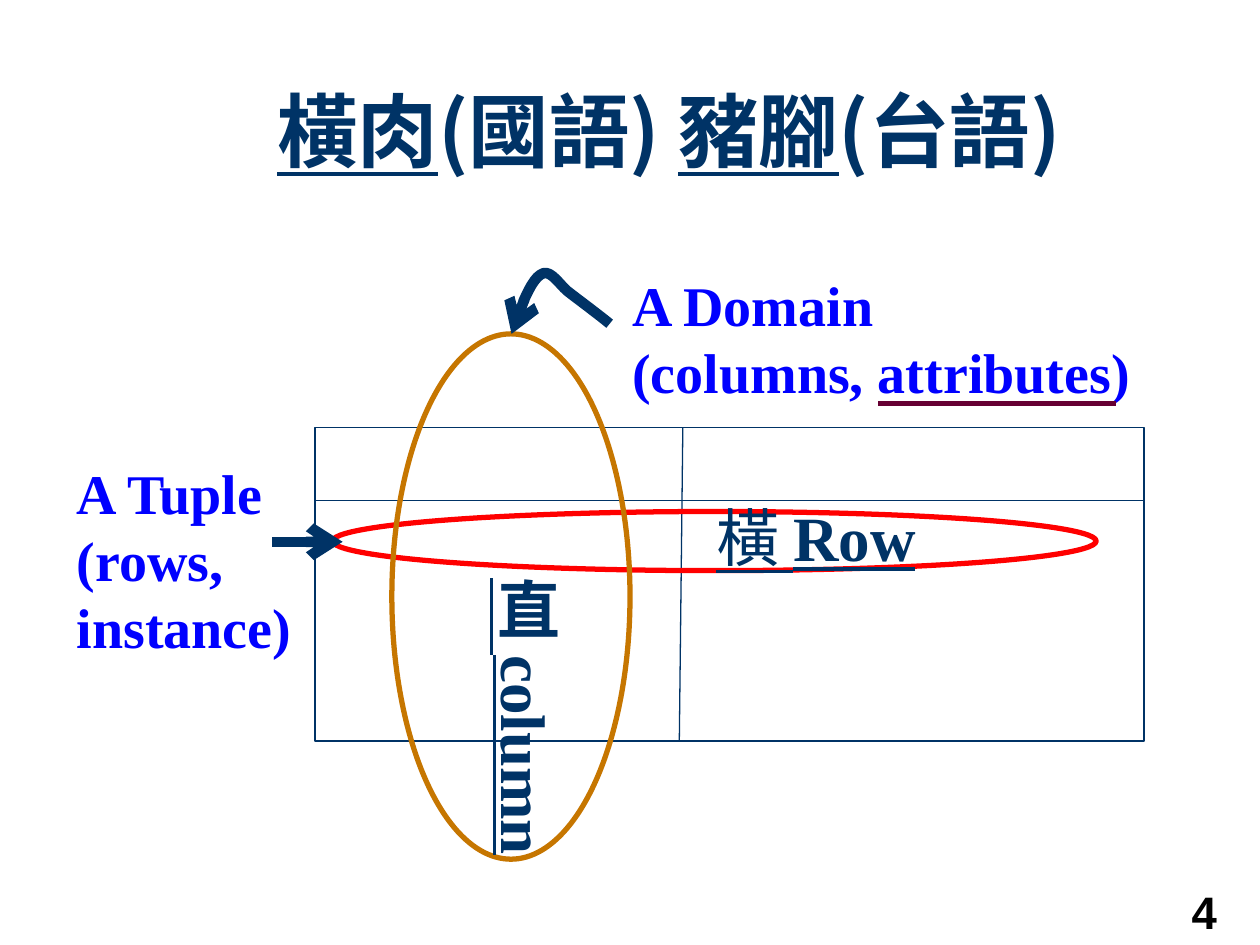
from dataclasses import dataclass

import pptx
import pptx.dml.color
import pptx.enum.shapes
import pptx.enum.text
import pptx.oxml.ns
import pptx.util
from lxml import etree

Pt = pptx.util.Pt
ALIGN = pptx.enum.text.PP_ALIGN
ANCHOR = pptx.enum.text.MSO_ANCHOR
SHAPE = pptx.enum.shapes.MSO_SHAPE
qn = pptx.oxml.ns.qn


@dataclass(frozen=True)
class Theme:
    """Colours, fonts, type sizes and line widths of the slide."""
    navy: str = "003366"
    blue: str = "0000FF"
    red: str = "FF0000"
    ochre: str = "C67600"
    plum: str = "660033"
    black: str = "000000"
    serif: str = "Times New Roman"
    sans: str = "Arial"
    cjk: str = "Noto Sans CJK SC"
    title: int = 46
    axis: int = 36
    label: int = 32
    number: int = 26
    thin: float = 0.75
    ring: float = 3
    arrow: float = 6


THEME = Theme()


def color(code):
    """Return the colour for a hex code."""
    return pptx.dml.color.RGBColor.from_string(code)


def add_text(slide, box, paragraphs, *, size, font=THEME.serif, ink=THEME.navy,
             align=ALIGN.LEFT, anchor=ANCHOR.TOP, inset=(7.2, 3.6),
             spacing=None, wrap=False, vertical=None):
    """Place paragraphs, each a list of (words, bold, underline) runs."""
    frame = slide.shapes.add_textbox(*map(Pt, box)).text_frame
    frame.word_wrap = wrap
    frame.vertical_anchor = anchor
    frame.margin_left = frame.margin_right = Pt(inset[0])
    frame.margin_top = frame.margin_bottom = Pt(inset[1])
    if vertical:
        frame._txBody.bodyPr.set("vert", vertical)
    for index, runs in enumerate(paragraphs):
        paragraph = frame.add_paragraph() if index else frame.paragraphs[0]
        paragraph.alignment = align
        if spacing:
            paragraph.line_spacing = spacing
        for words, bold, underline in runs:
            run = paragraph.add_run()
            run.text = words
            run.font.size, run.font.name = Pt(size), font
            run.font.bold, run.font.underline = bold, underline
            run.font.color.rgb = color(ink)
            east = etree.SubElement(run._r.get_or_add_rPr(), qn("a:ea"))
            east.set("typeface", THEME.cjk)


def style_line(shape, ink, width, arrow=False):
    """Set the line of a shape or connector, with an optional arrowhead."""
    shape.line.color.rgb = color(ink)
    shape.line.width = Pt(width)
    if arrow:
        tail = etree.SubElement(shape.line._get_or_add_ln(), qn("a:tailEnd"))
        tail.set("type", "arrow")


def add_line(slide, start, end, ink=THEME.navy, width=THEME.thin, arrow=False):
    """Draw a straight line between two points."""
    line = slide.shapes.add_connector(
        pptx.enum.shapes.MSO_CONNECTOR.STRAIGHT, *map(Pt, (*start, *end)))
    style_line(line, ink, width, arrow)
    etree.SubElement(line._element.spPr, qn("a:effectLst"))


def add_outline(slide, kind, box, ink, width):
    """Draw an unfilled preset shape."""
    outline = slide.shapes.add_shape(kind, *map(Pt, box))
    outline.shadow.inherit = False
    outline.fill.background()
    style_line(outline, ink, width)


def add_curve(slide, start, bends, steps=10):
    """Draw a navy arrow along cubic bends, each two controls and an end."""
    points = []
    origin = start
    for bend in bends:
        corners = (origin, *bend)
        for step in range(1, steps + 1):
            t = step / steps
            weights = ((1 - t) ** 3, 3 * t * (1 - t) ** 2, 3 * t * t * (1 - t), t ** 3)
            points.append(tuple(sum(w * corner[axis] for w, corner in zip(weights, corners))
                                for axis in (0, 1)))
        origin = bend[-1]
    builder = slide.shapes.build_freeform(*map(Pt, start))
    builder.add_line_segments([(Pt(x), Pt(y)) for x, y in points], close=False)
    curve = builder.convert_to_shape()
    curve.shadow.inherit = False
    curve.fill.background()
    style_line(curve, THEME.navy, THEME.arrow, arrow=True)


def draw_title(slide, box):
    """Place the title."""
    runs = [("橫肉", True, True), ("(國語) ", True, False),
            ("豬腳", True, True), ("(台語)", True, False)]
    add_text(slide, box, [runs], size=THEME.title, font=THEME.cjk,
             align=ALIGN.CENTER, inset=(0, 0), spacing=0.9, wrap=True)


def draw_relation(slide, box):
    """Draw the relation as a frame with a header rule and a divider."""
    left, top, width, height = box
    header = top + 41.8
    add_line(slide, (left, header), (left + width, header))
    add_outline(slide, SHAPE.RECTANGLE, box, THEME.navy, THEME.thin)
    add_line(slide, (left + 210.2, top), (left + 208.2, top + height))


def draw_row(slide, box):
    """Ring a row and name it."""
    left, top, width, height = box
    add_outline(slide, SHAPE.OVAL, box, THEME.red, THEME.ring)
    add_text(slide, (left + 212, top - 10.8, 150, 50.4),
             [[("橫 ", False, True), ("Row", True, True)]], size=THEME.axis)


def draw_column(slide, box):
    """Ring a column and name it downwards."""
    left, top, width, height = box
    add_outline(slide, SHAPE.OVAL, box, THEME.ochre, THEME.ring)
    add_text(slide, (left + 44.6, top + 132.4, 57.6, 181),
             [[("直 column", True, True)]], size=THEME.axis,
             inset=(3.6, 7.2), vertical="eaVert")


def draw_tuple(slide, box):
    """Label the tuple and point at the row."""
    left, top, width, height = box
    lines = ("A Tuple", "(rows,", "instance)")
    add_text(slide, box, [[(line, True, False)] for line in lines],
             size=THEME.label, ink=THEME.blue)
    add_line(slide, (left + 118.8, top + 51.1), (left + 159.1, top + 51.1),
             width=THEME.arrow, arrow=True)


def draw_domain(slide, box):
    """Label the domain, underline its attributes and point at the column."""
    left, top, width, height = box
    lines = ("A Domain", "(columns, attributes)")
    add_text(slide, box, [[(line, True, False)] for line in lines],
             size=THEME.label, ink=THEME.blue)
    bends = [((-13.7, 27.4), (-21.6, 21.6), (-28.1, 16.6)),
             ((-34.6, 12.2), (-39.6, 1.4), (-45.4, 5.8)),
             ((-51.1, 9.4), (-56.9, 24.5), (-61.9, 39.6))]
    add_curve(slide, (left - 5.8, top + 33.8),
              [[(left + x, top + y) for x, y in bend] for bend in bends])
    rule = top + 79.2
    add_line(slide, (left + 147.6, rule), (left + 283.7, rule),
             ink=THEME.plum, width=THEME.ring)


def draw_number(slide, box):
    """Place the slide number."""
    add_text(slide, box, [[("4", True, False)]], size=THEME.number,
             font=THEME.sans, ink=THEME.black, anchor=ANCHOR.BOTTOM, wrap=True)


def main():
    """Build and save the slide."""
    deck = pptx.Presentation()
    deck.slide_width, deck.slide_height = Pt(720), Pt(540)
    slide = deck.slides.add_slide(deck.slide_layouts[6])
    draw_number(slide, (673.9, 501.1, 46.1, 38.9))
    draw_title(slide, (76.3, 52.6, 612, 90))
    draw_relation(slide, (180, 244.1, 473.8, 179.3))
    draw_row(slide, (190.1, 292.3, 436.3, 33.8))
    draw_column(slide, (223.9, 190.8, 136.1, 300.2))
    draw_tuple(slide, (36.7, 258.5, 142, 122.4))
    draw_domain(slide, (354.2, 151.2, 304, 84.2))
    deck.save("out.pptx")


if __name__ == "__main__":
    main()
